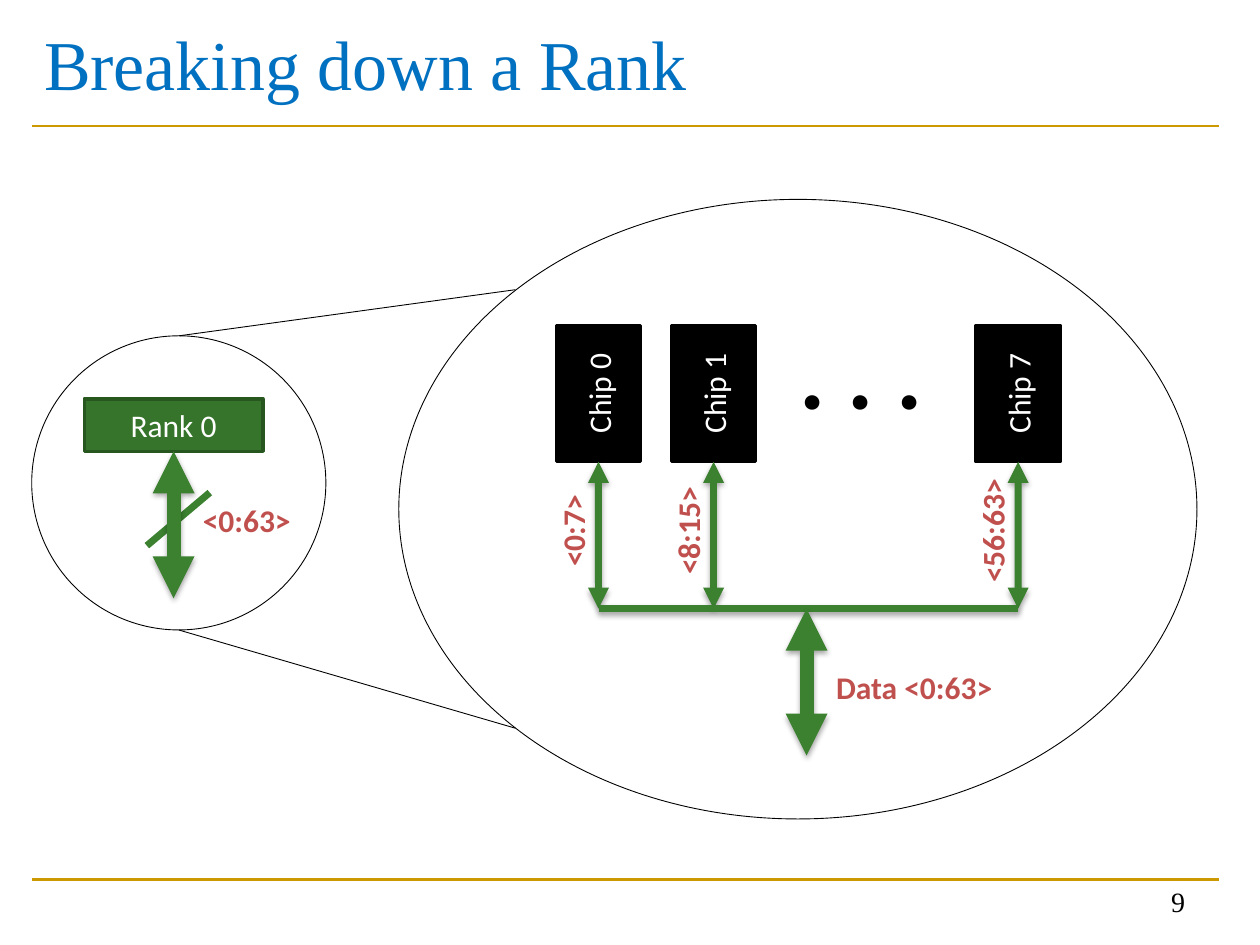
from dataclasses import dataclass

from lxml import etree
from pptx import Presentation
from pptx.dml.color import RGBColor
from pptx.enum.shapes import MSO_CONNECTOR, MSO_SHAPE
from pptx.enum.text import MSO_ANCHOR, PP_ALIGN
from pptx.oxml.ns import qn
from pptx.util import Cm, Pt

STRAIGHT = MSO_CONNECTOR.STRAIGHT
RECTANGLE, OVAL = MSO_SHAPE.RECTANGLE, MSO_SHAPE.OVAL
TOP, MIDDLE, BOTTOM = MSO_ANCHOR.TOP, MSO_ANCHOR.MIDDLE, MSO_ANCHOR.BOTTOM
LEFT, CENTER, RIGHT = PP_ALIGN.LEFT, PP_ALIGN.CENTER, PP_ALIGN.RIGHT
BOTTOM_SIDE = 2


@dataclass(frozen=True)
class Theme:
    """Colours, fonts and type sizes of the slide."""
    title: str = "0070C0"
    rule: str = "CC9900"
    rank: str = "35742A"
    rank_edge: str = "27561F"
    bus: str = "3B812F"
    bits: str = "C0504D"
    black: str = "000000"
    white: str = "FFFFFF"
    serif: str = "Times New Roman"
    sans: str = "Calibri"
    title_size: int = 40
    body_size: int = 18
    dots_size: int = 56
    number_size: int = 16


THEME = Theme()
ARROW_LENGTH = 2.96
LABEL_WIDTH, LABEL_HEIGHT = 2.74, 1.02


def color(value):
    """Turn a hex string into a colour."""
    return RGBColor.from_string(value)


def write(shape, text, size, ink, font=THEME.sans, bold=False, align=CENTER, anchor=TOP):
    """Put one styled run of text into a shape."""
    frame = shape.text_frame
    frame.word_wrap = True
    frame.vertical_anchor = anchor
    paragraph = frame.paragraphs[0]
    paragraph.alignment = align
    run = paragraph.add_run()
    run.text = text
    run.font.size, run.font.name, run.font.bold = Pt(size), font, bold
    run.font.color.rgb = color(ink)


def add_text(slide, box, text, size, ink, **style):
    """Add a text box at a box given in centimetres."""
    shape = slide.shapes.add_textbox(*map(Cm, box))
    write(shape, text, size, ink, **style)
    return shape


def add_bits(slide, box, text):
    """Add a bold label that names a range of bits."""
    return add_text(slide, box, text, THEME.body_size, THEME.bits, bold=True)


def add_block(slide, box, text, fill, edge):
    """Add a filled rectangle with a white caption."""
    block = slide.shapes.add_shape(RECTANGLE, *map(Cm, box))
    block.shadow.inherit = False
    block.fill.solid()
    block.fill.fore_color.rgb = color(fill)
    block.line.color.rgb = color(edge)
    block.line.width = Pt(2)
    write(block, text, THEME.body_size, THEME.white, anchor=MIDDLE)
    return block


def add_oval(slide, box):
    """Add a thin unfilled ellipse."""
    oval = slide.shapes.add_shape(OVAL, *map(Cm, box))
    oval.shadow.inherit = False
    oval.fill.background()
    oval.line.color.rgb = color(THEME.black)
    oval.line.width = Pt(0.5)


def add_line(slide, start, end, ink, width, heads=False, shadow=False):
    """Add a straight line, optionally with two arrowheads and a soft shadow."""
    line = slide.shapes.add_connector(STRAIGHT, *map(Cm, (*start, *end)))
    line.line.color.rgb = color(ink)
    line.line.width = Pt(width)
    properties = line.element.spPr
    if heads:
        outline = properties.find(qn("a:ln"))
        for tag in ("a:headEnd", "a:tailEnd"):
            etree.SubElement(outline, qn(tag), type="triangle")
    effects = etree.SubElement(properties, qn("a:effectLst"))
    if shadow:
        outer = etree.SubElement(effects, qn("a:outerShdw"), blurRad="40000",
                                 dist="23000", dir="5400000", rotWithShape="0")
        shade = etree.SubElement(outer, qn("a:srgbClr"), val=THEME.black)
        etree.SubElement(shade, qn("a:alpha"), val="35000")
    return line


def add_data_arrow(slide, x, top, width, block=None):
    """Add a vertical two-way arrow, joined to the block above it if there is one."""
    arrow = add_line(slide, (x, top + ARROW_LENGTH), (x, top), THEME.bus, width, True, True)
    if block is not None:
        arrow.end_connect(block, BOTTOM_SIDE)


def draw_frame(slide, box):
    """Draw the title, the two rules and the slide number."""
    left, top, width, height = box
    for y in (2.54, 17.73):
        add_line(slide, (left, top + y), (left + width, top + y), THEME.rule, 1.5)
    add_text(slide, (left, top, width, 2.51), "Breaking down a Rank", THEME.title_size,
             THEME.title, font=THEME.serif, align=LEFT, anchor=MIDDLE)
    add_text(slide, (left + width - 6.35, top + height - 1.27, 5.92, 1.27), "9",
             THEME.number_size, THEME.black, font=THEME.serif, align=RIGHT, anchor=BOTTOM)


def draw_rank(slide, box):
    """Draw the small circle with the rank and its data bus."""
    left, top, width, height = box
    rank_width, rank_height = 3.6, 1.06
    rank_left, rank_top = left + 1.06, top + 1.27
    rank = add_block(slide, (rank_left, rank_top, rank_width, rank_height),
                     "Rank 0", THEME.rank, THEME.rank_edge)
    add_line(slide, (left + 2.32, top + 4.23), (left + 3.59, top + 3.16), THEME.bus, 4)
    add_data_arrow(slide, rank_left + rank_width / 2, rank_top + rank_height, 8, rank)
    add_bits(slide, (left + width / 2, top + 3.21, LABEL_WIDTH, LABEL_HEIGHT), "<0:63>")
    add_oval(slide, box)


def draw_zoom(slide, box):
    """Draw the two lines that lead from the small circle to the large one."""
    left, top, width, height = box
    x, end = left + width / 2, left + 9.75
    add_line(slide, (x, top), (end, top - 0.93), THEME.black, 0.5)
    add_line(slide, (x, top + height), (end, top + height + 1.98), THEME.black, 0.5)


def draw_chips(slide, box):
    """Draw the large ellipse with the chips and the shared data bus."""
    left, top, width, height = box
    chip_width, chip_height = 1.69, 2.75
    chip_top = top + 2.54
    chip_bottom = chip_top + chip_height
    bus_y = chip_bottom + ARROW_LENGTH
    chips = (("Chip 0", "<0:7>", 3.18), ("Chip 1", "<8:15>", 5.5), ("Chip 7", "<56:63>", 11.64))
    centers = [left + offset + chip_width / 2 for _, _, offset in chips]
    for (name, bits, offset), center in zip(chips, centers):
        chip = add_block(slide, (left + offset, chip_top, chip_width, chip_height),
                         name, THEME.black, THEME.black)
        chip.text_frame._txBody.bodyPr.set("vert", "vert270")
        add_data_arrow(slide, center, chip_bottom, 4, chip)
        label = add_bits(slide, (center - 0.52 - LABEL_WIDTH / 2, chip_bottom + 0.88,
                                 LABEL_WIDTH, LABEL_HEIGHT), bits)
        label.rotation = 270
    add_text(slide, (left + 7.63, top + 2.13, 3.38, 2.64), ". . .",
             THEME.dots_size, THEME.black, bold=True)
    add_line(slide, (centers[0], bus_y), (centers[-1], bus_y), THEME.bus, 4, shadow=True)
    add_data_arrow(slide, left + 8.22, bus_y, 8)
    add_bits(slide, (left + 8.27, bus_y + 1.07, 4.24, LABEL_HEIGHT), "Data <0:63>")
    add_oval(slide, box)


def main():
    """Build the slide and save it."""
    presentation = Presentation()
    presentation.slide_width, presentation.slide_height = Cm(25.4), Cm(19.05)
    slide = presentation.slides.add_slide(presentation.slide_layouts[6])
    rank_box = (0.64, 6.77, 5.93, 5.93)
    draw_frame(slide, (0.64, 0, 23.93, 18.63))
    draw_rank(slide, rank_box)
    draw_zoom(slide, rank_box)
    draw_chips(slide, (8.04, 4.02, 16.09, 12.49))
    presentation.save("out.pptx")


if __name__ == "__main__":
    main()
